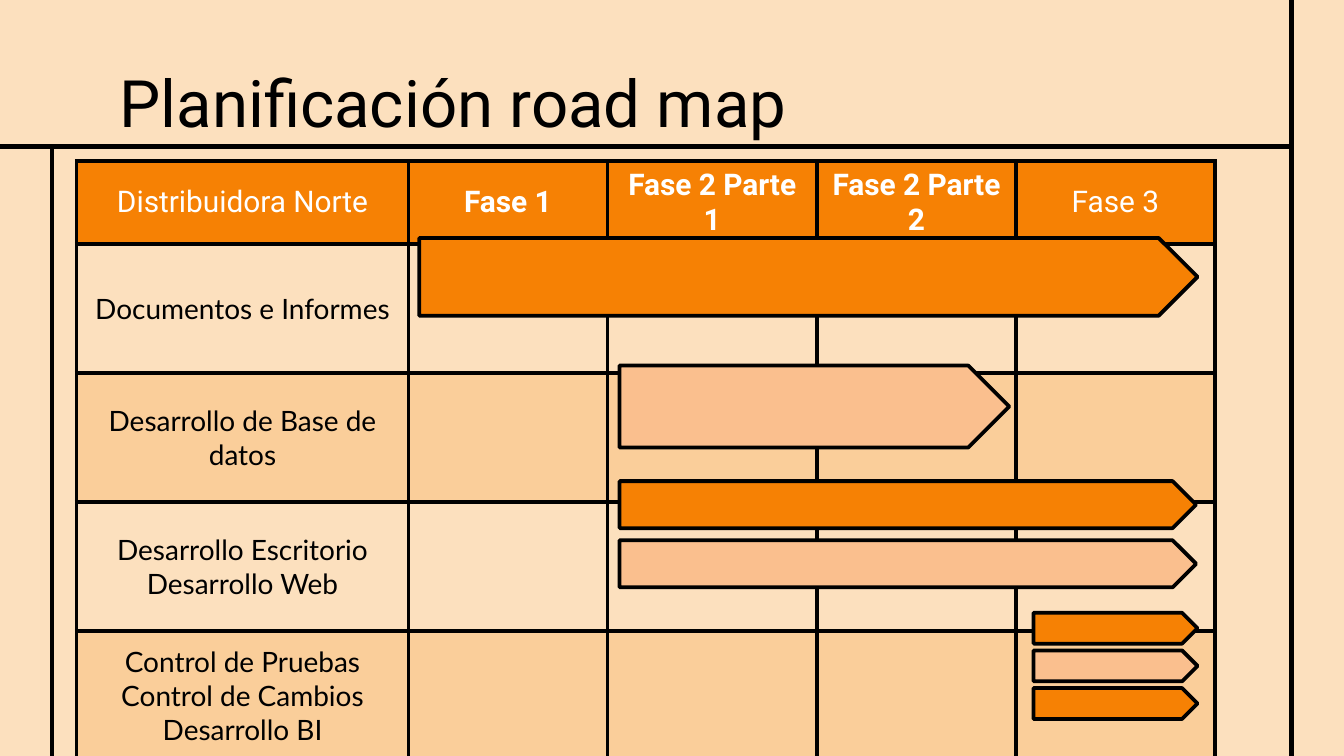
from lxml import etree
from pptx import Presentation
from pptx.dml.color import RGBColor
from pptx.enum.shapes import MSO_CONNECTOR, MSO_SHAPE
from pptx.enum.text import MSO_ANCHOR, PP_ALIGN
from pptx.oxml.ns import qn
from pptx.util import Inches, Pt

STRAIGHT = MSO_CONNECTOR.STRAIGHT
PENTAGON = MSO_SHAPE.PENTAGON
TOP, MIDDLE = MSO_ANCHOR.TOP, MSO_ANCHOR.MIDDLE
LEFT, CENTER = PP_ALIGN.LEFT, PP_ALIGN.CENTER

SAND = RGBColor(0xFC, 0xE0, 0xBE)
ORANGE = RGBColor(0xF6, 0x81, 0x04)
PEACH = RGBColor(0xFA, 0xBF, 0x8E)
BLACK = RGBColor(0, 0, 0)
WHITE = RGBColor(0xFF, 0xFF, 0xFF)

SLIDE_W = 10
SLIDE_H = SLIDE_W * 9 / 16
FRAME_RIGHT, FRAME_TOP, FRAME_LEFT = 9.61, 1.09, 0.39
GRID_LEFT, GRID_TOP = 0.57, 1.2
COLUMNS = [2.47, 1.48, 1.56, 1.48, 1.48]
ROWS = [0.33] + [0.96] * 4
BORDER = 2.25

# Heading and whether it is bold
PHASES = [
    ("Distribuidora Norte", False),
    ("Fase 1", True),
    ("Fase 2 Parte 1", True),
    ("Fase 2 Parte 2", True),
    ("Fase 3", False),
]
TASKS = [
    ["Documentos e Informes"],
    ["Desarrollo de Base de datos"],
    ["Desarrollo Escritorio", "Desarrollo Web"],
    ["Control de Pruebas", "Control de Cambios", "Desarrollo BI"],
]
# First and last column, gaps to their outer edges, top, height, step, colours
BARS = [
    (1, 4, 0.08, 0.13, 1.77, 0.58, 0, [ORANGE]),
    (2, 3, 0.09, 0.05, 2.72, 0.61, 0, [PEACH]),
    (2, 4, 0.09, 0.14, 3.58, 0.35, 0.44, [ORANGE, PEACH]),
    (4, 4, 0.13, 0.13, 4.56, 0.23, 0.28, [ORANGE, PEACH, ORANGE]),
]


def column_edge(index):
    return GRID_LEFT + sum(COLUMNS[:index])


def write(frame, lines, *, size, font, color=BLACK, bold=False, align=CENTER):
    for number, line in enumerate(lines):
        paragraph = frame.add_paragraph() if number else frame.paragraphs[0]
        paragraph.alignment = align
        run = paragraph.add_run()
        run.text = line
        run.font.size = Pt(size)
        run.font.name = font
        run.font.bold = bold
        run.font.color.rgb = color


def add_rule(slide, x1, y1, x2, y2):
    rule = slide.shapes.add_connector(
        STRAIGHT, Inches(x1), Inches(y1), Inches(x2), Inches(y2))
    rule.line.color.rgb = BLACK
    rule.line.width = Pt(BORDER)
    etree.SubElement(rule._element.spPr, qn("a:effectLst"))


def add_title(slide, text):
    title = slide.shapes.title
    title.left, title.top = Inches(0.79), Inches(0.36)
    title.width, title.height = Inches(8.43), Inches(0.7)
    frame = title.text_frame
    frame.margin_left = frame.margin_right = Inches(0.1)
    frame.margin_top = frame.margin_bottom = Inches(0.1)
    frame.vertical_anchor = TOP
    write(frame, [text], size=35, font="Roboto", align=LEFT)


def style_cell(cell, color, opacity=None):
    cell.vertical_anchor = MIDDLE
    cell.fill.solid()
    cell.fill.fore_color.rgb = color
    properties = cell._tc.get_or_add_tcPr()
    if opacity:
        tint = properties.find(".//" + qn("a:srgbClr"))
        etree.SubElement(tint, qn("a:alpha"), val=str(opacity * 1000))
    # Borders come before the fill in the cell properties
    for place, side in enumerate(("lnL", "lnR", "lnT", "lnB")):
        border = etree.Element(qn("a:" + side), w=str(Pt(BORDER)))
        paint = etree.SubElement(border, qn("a:solidFill"))
        etree.SubElement(paint, qn("a:srgbClr"), val=str(BLACK))
        properties.insert(place, border)


def add_roadmap(slide):
    roadmap = slide.shapes.add_table(
        len(ROWS), len(COLUMNS), Inches(GRID_LEFT), Inches(GRID_TOP),
        Inches(sum(COLUMNS)), Inches(sum(ROWS))).table
    roadmap.first_row = roadmap.horz_banding = False
    for column, width in zip(roadmap.columns, COLUMNS):
        column.width = Inches(width)
    for number, (row, height) in enumerate(zip(roadmap.rows, ROWS)):
        row.height = Inches(height)
        for cell in row.cells:
            if number == 0:
                style_cell(cell, ORANGE)
            elif number % 2:
                style_cell(cell, SAND)
            else:
                style_cell(cell, ORANGE, opacity=19)
    for column, (phase, bold) in enumerate(PHASES):
        write(roadmap.cell(0, column).text_frame, [phase],
              size=16, font="Roboto", color=WHITE, bold=bold)
    for row, task in enumerate(TASKS, start=1):
        write(roadmap.cell(row, 0).text_frame, task, size=15, font="Lato")


def add_bar(slide, left, top, right, height, color):
    bar = slide.shapes.add_shape(
        PENTAGON, Inches(left), Inches(top), Inches(right - left), Inches(height))
    bar.adjustments[0] = 0.5
    bar.shadow.inherit = False
    bar.fill.solid()
    bar.fill.fore_color.rgb = color
    bar.line.color.rgb = BLACK
    bar.line.width = Pt(2)


def main():
    deck = Presentation()
    deck.slide_width, deck.slide_height = Inches(SLIDE_W), Inches(SLIDE_H)
    slide = deck.slides.add_slide(deck.slide_layouts[5])
    slide.background.fill.solid()
    slide.background.fill.fore_color.rgb = SAND

    # Frame lines
    add_rule(slide, FRAME_RIGHT, FRAME_TOP, 0, FRAME_TOP)
    add_rule(slide, FRAME_RIGHT, 0, FRAME_RIGHT, SLIDE_H)
    add_rule(slide, FRAME_LEFT, FRAME_TOP, FRAME_LEFT, SLIDE_H)

    add_title(slide, "Planificación road map")
    add_roadmap(slide)

    # Schedule bars over the phases
    for first, last, gap_left, gap_right, top, height, step, colors in BARS:
        left = column_edge(first) + gap_left
        right = column_edge(last + 1) - gap_right
        for number, color in enumerate(colors):
            add_bar(slide, left, top + number * step, right, height, color)

    deck.save("out.pptx")


if __name__ == "__main__":
    main()
